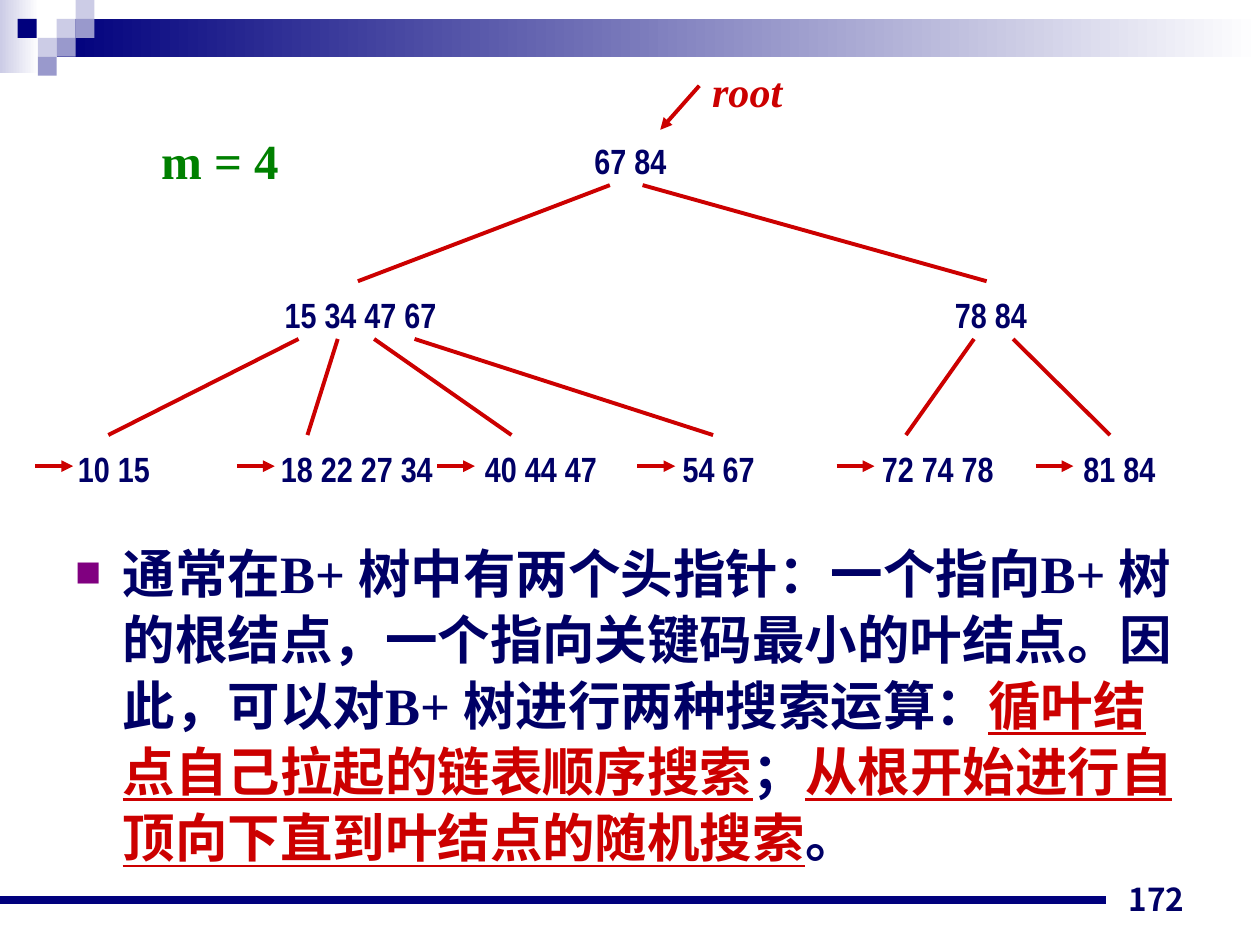
"""Builds a slide that shows a B+ tree of order 4 and its two head pointers."""
import pptx
import pptx.dml.color
import pptx.enum.shapes
import pptx.enum.text
import pptx.oxml
import pptx.oxml.ns
import pptx.util
from pptx.util import Pt

ALIGN = pptx.enum.text.PP_ALIGN
COLORS = {"navy": "00007D", "text": "000066", "red": "CC0000", "green": "008000",
          "bullet": "800080", "pale": "CCCCE6", "lilac": "9999CC", "white": "FFFFFF"}
SERIF, NARROW, CHINESE = "Times New Roman", "Arial Narrow", "Noto Sans CJK SC"

GRADIENT_BARS = [((0, 0, 22.3, 41.8), "pale"), ((32.4, 10.8, 687.6, 21.6), "navy")]
SQUARE = 10.8
SQUARES = [(32.4, 10.8, "pale"), (43.2, 0, "pale"), (43.2, 10.8, "lilac"),
           (21.6, 21.6, "pale"), (10.1, 10.8, "navy"), (32.4, 21.6, "lilac"),
           (21.6, 32.4, "lilac")]

KEY_WIDTH, KEY_HEIGHT = 110, 46.8
LEVEL_TOPS = [76.3, 164.2, 252]
LEVELS = [
    [("67 84", 332.6)],
    [("15 34 47 67", 155.5), ("78 84", 538.6)],
    [("10 15", 37.4), ("18 22 27 34", 153.4), ("40 44 47", 270),
     ("54 67", 383), ("72 74 78", 496.8), ("81 84", 612)],
]
BRANCHES = [
    [(348.5, 204.5), (367.2, 563.8)],
    [(170.6, 61.9), (193, 175.7), (213.8, 292.3), (236.9, 407.5),
     (556.6, 517.7), (578.9, 634.3)],
]
BRANCH_OFFSET, BRANCH_DROP = 29.5, 54.9
LEAF_ARROWS = [20.2, 135.4, 249.8, 364.3, 478.1, 591.8]
LEAF_ARROW_TOP, LEAF_ARROW_LENGTH = 266.4, 21.6

EXPLANATION = [
    ("通常在B+ 树中有两个头指针：一个指向B+ 树的根结点，一个指向关键码最小的叶结点。"
     "因此，可以对B+ 树进行两种搜索运算：", "text", False),
    ("循叶结点自己拉起的链表顺序搜索", "red", True),
    ("；", "text", False),
    ("从根开始进行自顶向下直到叶结点的随机搜索", "red", True),
    ("。", "text", False),
]


def rgb(name):
    return pptx.dml.color.RGBColor.from_string(COLORS[name])


def add_element(parent, tag, **attributes):
    element = pptx.oxml.parse_xml(f"<a:{tag} {pptx.oxml.ns.nsdecls('a')}/>")
    for key, value in attributes.items():
        element.set(key, value)
    parent.append(element)
    return element


def add_rectangle(slide, box, color, gradient=False):
    kind = pptx.enum.shapes.MSO_SHAPE.RECTANGLE
    shape = slide.shapes.add_shape(kind, *map(Pt, box))
    shape.shadow.inherit = False
    shape.line.fill.background()
    if gradient:
        shape.fill.gradient()
        shape.fill.gradient_angle = 0
        for stop, name, position in zip(shape.fill.gradient_stops, (color, "white"), (0, 1)):
            stop.color.rgb = rgb(name)
            stop.position = position
    else:
        shape.fill.solid()
        shape.fill.fore_color.rgb = rgb(color)


def add_line(slide, start, end, color="red", width=2.25, arrow=False):
    kind = pptx.enum.shapes.MSO_CONNECTOR.STRAIGHT
    connector = slide.shapes.add_connector(kind, *map(Pt, start + end))
    connector.line.color.rgb = rgb(color)
    connector.line.width = Pt(width)
    if arrow:
        add_element(connector.line._get_or_add_ln(), "tailEnd", type="triangle")
    add_element(connector._element.spPr, "effectLst")


def add_run(paragraph, text, size, color, font=SERIF, italic=False, underline=False):
    run = paragraph.add_run()
    run.text = text
    run.font.size = Pt(size)
    run.font.bold = True
    run.font.italic = italic
    run.font.underline = underline
    run.font.color.rgb = rgb(color)
    run.font.name = font
    add_element(run._r.get_or_add_rPr(), "ea", typeface=CHINESE)


def add_text(slide, box, runs, align=ALIGN.LEFT, wrap=True, bottom=False):
    frame = slide.shapes.add_textbox(*map(Pt, box)).text_frame
    frame.word_wrap = wrap
    anchor = pptx.enum.text.MSO_ANCHOR
    frame.vertical_anchor = anchor.BOTTOM if bottom else anchor.TOP
    paragraph = frame.paragraphs[0]
    paragraph.alignment = align
    for run in runs:
        add_run(paragraph, **run)
    return paragraph


def add_explanation(slide):
    runs = [dict(text=text, size=30, color=color, underline=underline)
            for text, color, underline in EXPLANATION]
    paragraph = add_text(slide, (36, 303.8, 648, 209.5), runs)
    paragraph.line_spacing = 1.05
    properties = paragraph._p.get_or_add_pPr()
    properties.set("marL", str(Pt(27)))
    properties.set("indent", str(Pt(-27)))
    add_element(add_element(properties, "buClr"), "srgbClr", val=COLORS["bullet"])
    add_element(properties, "buSzPct", val="50000")
    add_element(properties, "buFont", typeface=CHINESE)
    add_element(properties, "buChar", char="■")


def add_tree(slide):
    for top, nodes in zip(LEVEL_TOPS, LEVELS):
        for keys, left in nodes:
            add_text(slide, (left, top, KEY_WIDTH, KEY_HEIGHT),
                     [dict(text=keys, size=20, color="text", font=NARROW)])
    for top, branches in zip(LEVEL_TOPS, BRANCHES):
        start_y = top + BRANCH_OFFSET
        for start_x, end_x in branches:
            add_line(slide, (start_x, start_y), (end_x, start_y + BRANCH_DROP))
    for left in LEAF_ARROWS:
        add_line(slide, (left, LEAF_ARROW_TOP),
                 (left + LEAF_ARROW_LENGTH, LEAF_ARROW_TOP), arrow=True)


def main():
    presentation = pptx.Presentation()
    presentation.slide_width, presentation.slide_height = Pt(720), Pt(540)
    slide = presentation.slides.add_slide(presentation.slide_layouts[6])
    for box, color in GRADIENT_BARS:
        add_rectangle(slide, box, color, gradient=True)
    for left, top, color in SQUARES:
        add_rectangle(slide, (left, top, SQUARE, SQUARE), color)
    add_line(slide, (0, 514.1), (632.2, 514.1), color="navy", width=4.5)
    add_text(slide, (516.2, 491.8, 167.8, 36),
             [dict(text="172", size=18, color="text", font="Noto Sans CJK JP")],
             align=ALIGN.RIGHT, bottom=True)
    add_explanation(slide)
    add_text(slide, (85, 71.3, 117.4, 50.4), [dict(text="m = 4", size=28, color="green")])
    add_tree(slide)
    add_line(slide, (399.6, 49), (377.3, 74.2), arrow=True)
    add_text(slide, (399.6, 33.8, 54.7, 36),
             [dict(text="root", size=24, color="red", italic=True)],
             align=ALIGN.CENTER, wrap=False)
    presentation.save("out.pptx")


if __name__ == "__main__":
    main()
